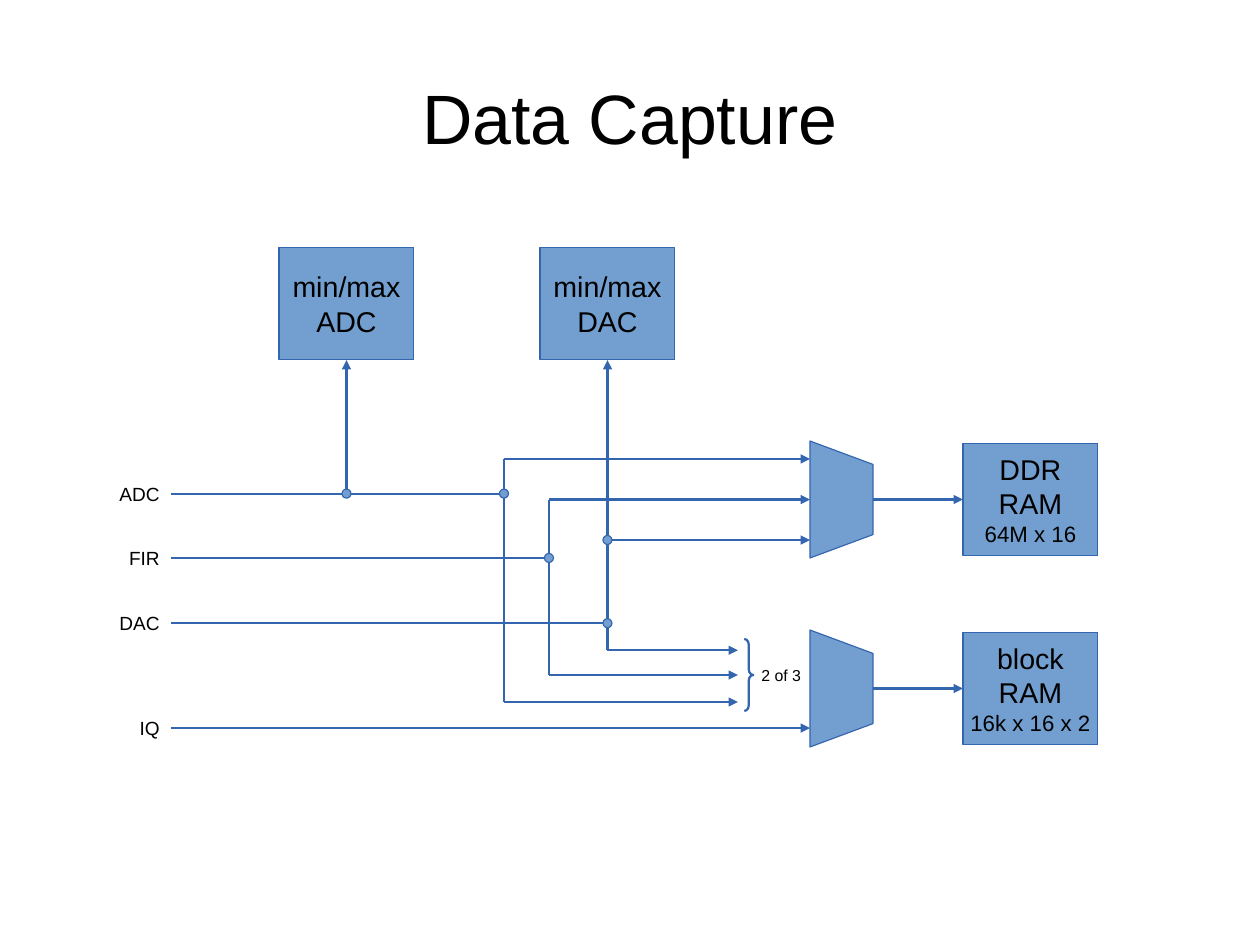
from dataclasses import dataclass

from lxml.etree import SubElement
from pptx import Presentation
from pptx.dml.color import RGBColor
from pptx.enum.shapes import MSO_CONNECTOR, MSO_SHAPE
from pptx.enum.text import MSO_ANCHOR, PP_ALIGN
from pptx.oxml.ns import qn
from pptx.util import Cm, Pt


@dataclass(frozen=True)
class Theme:
    font: str = "Arial"
    text: RGBColor = RGBColor(0x00, 0x00, 0x00)
    fill: RGBColor = RGBColor(0x72, 0x9F, 0xCF)
    line: RGBColor = RGBColor(0x34, 0x65, 0xAF)
    wire: float = 1.42
    title: int = 44
    block: int = 18
    detail: int = 14
    label: int = 12
    note: int = 10


def write(tf, text, theme, size, align=PP_ALIGN.CENTER, last_size=None, wrap=False):
    """Fill a frame, one paragraph per line; last_size applies to the last one."""
    tf.word_wrap = wrap
    tf.vertical_anchor = MSO_ANCHOR.MIDDLE
    lines = text.split("\n")
    for i, line in enumerate(lines):
        p = tf.paragraphs[0] if i == 0 else tf.add_paragraph()
        p.alignment = align
        r = p.add_run()
        r.text = line
        r.font.name = theme.font
        r.font.size = Pt(last_size if last_size and i == len(lines) - 1 else size)
        r.font.color.rgb = theme.text


class Diagram:
    def __init__(self, slide, theme):
        self.s, self.theme = slide, theme

    def shape(self, kind, x, y, w, h):
        sp = self.s.shapes.add_shape(kind, Cm(x), Cm(y), Cm(w), Cm(h))
        sp.shadow.inherit = False
        sp.fill.solid()
        sp.fill.fore_color.rgb = self.theme.fill
        sp.line.color.rgb = self.theme.line
        sp.line.width = Pt(0)
        return sp

    def text(self, text, x, y, w, h, size, **fmt):
        sp = self.s.shapes.add_textbox(Cm(x), Cm(y), Cm(w), Cm(h))
        write(sp.text_frame, text, self.theme, size, **fmt)
        return sp

    def block(self, text, x, y, **fmt):
        sp = self.shape(MSO_SHAPE.RECTANGLE, x, y, 3, 2.5)
        write(sp.text_frame, text, self.theme, self.theme.block, **fmt)
        return sp

    def mux(self, x, y):
        """Draw a multiplexer centred on x, y, with its wide side to the left."""
        sp = self.shape(MSO_SHAPE.FLOWCHART_MANUAL_OPERATION, x - 1.3, y - 0.7, 2.6, 1.4)
        sp.rotation = 270

    def junction(self, x, y):
        self.shape(MSO_SHAPE.OVAL, x - 0.1, y - 0.1, 0.2, 0.2)

    def brace(self, x, y, w, h):
        sp = self.shape(MSO_SHAPE.RIGHT_BRACE, x, y, w, h)
        sp.adjustments[0] = 0.63
        sp.fill.background()
        sp.line.width = Pt(self.theme.wire)

    def wire(self, x1, y1, x2, y2, arrow=False, target=None, side=None):
        cx = self.s.shapes.add_connector(
            MSO_CONNECTOR.STRAIGHT, Cm(x1), Cm(y1), Cm(x2), Cm(y2))
        cx.line.color.rgb = self.theme.line
        cx.line.width = Pt(self.theme.wire)
        if arrow:
            SubElement(cx.line._get_or_add_ln(), qn("a:tailEnd"), type="triangle")
        SubElement(cx._element.spPr, qn("a:effectLst"))
        if target is not None:
            cx.end_connect(target, side)


def main():
    prs = Presentation()
    prs.slide_width, prs.slide_height = Cm(28), Cm(21)
    theme = Theme()
    d = Diagram(prs.slides.add_slide(prs.slide_layouts[6]), theme)

    d.text("Data Capture", 1.4, 0.84, 25.2, 3.51, theme.title, wrap=True)

    source_x, mux_in, mux_out, pick_x = 3.8, 18, 19.4, 16.4
    adc_y, fir_y, dac_y, iq_y = 10.97, 12.4, 13.85, 16.18
    tap_x, adc_x, fir_x, dac_x = 7.7, 11.2, 12.2, 13.5
    ddr_y, block_y = 11.1, 15.3

    for name, y in (("ADC", adc_y), ("FIR", fir_y), ("DAC", dac_y), ("IQ", iq_y)):
        d.text(name, source_x - 1.4, y - 0.37, 1.4, 0.74, theme.label,
               align=PP_ALIGN.RIGHT)

    # Range monitors, each fed from below
    for name, x, y in (("ADC", tap_x, adc_y), ("DAC", dac_x, 14.45)):
        monitor = d.block(f"min/max\n{name}", x - 1.5, 5.5)
        d.wire(x, y, x, 8, arrow=True, target=monitor, side=2)

    # Memories, each behind a multiplexer
    for text, y in (("DDR\nRAM\n64M x 16", ddr_y), ("block\nRAM\n16k x 16 x 2", block_y)):
        memory = d.block(text, 21.4, y - 1.25, last_size=theme.detail)
        d.mux(18.7, y)
        d.wire(mux_out, y, 21.4, y, arrow=True, target=memory, side=1)

    # Each signal: source line, then a branch to both multiplexers
    for x, y, ddr_in, pick in ((adc_x, adc_y, 10.2, 15.6),
                               (fir_x, fir_y, ddr_y, 15),
                               (dac_x, dac_y, 12, 14.45)):
        d.wire(source_x, y, x, y)
        if x != dac_x:
            d.wire(x, ddr_in, x, pick)
        d.wire(x, ddr_in, mux_in, ddr_in, arrow=True)
        d.wire(x, pick, pick_x, pick, arrow=True)
        d.junction(x, y)
    d.wire(source_x, iq_y, mux_in, iq_y, arrow=True)
    d.junction(tap_x, adc_y)
    d.junction(dac_x, 12)

    d.brace(16.54, 14.2, 0.2, 1.6)
    d.text("2 of 3", 16.66, 14.68, 1.4, 0.64, theme.note)

    prs.save("out.pptx")


if __name__ == "__main__":
    main()
